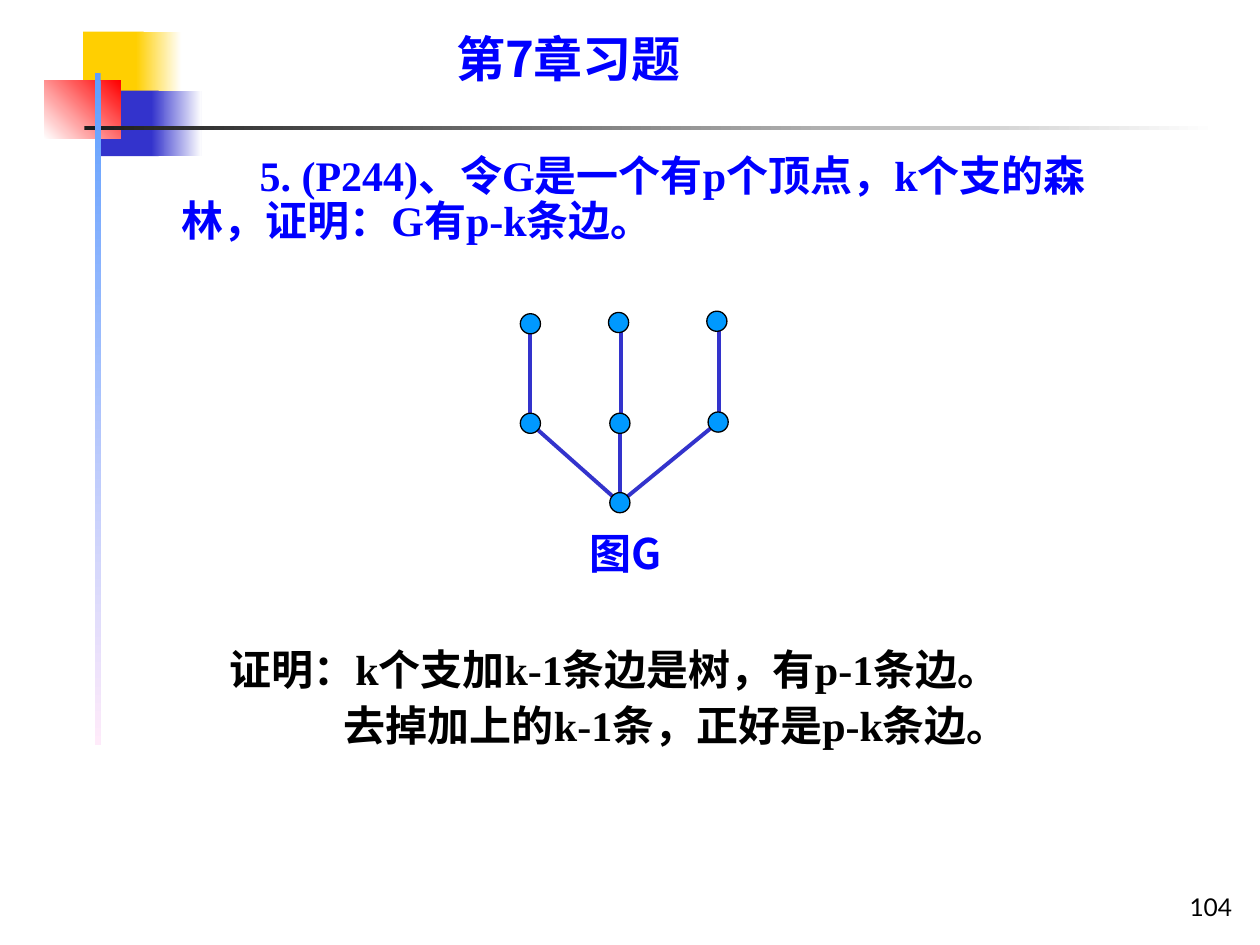
from lxml.etree import SubElement
from pptx import Presentation
from pptx.dml.color import RGBColor
from pptx.enum.shapes import MSO_CONNECTOR, MSO_SHAPE
from pptx.enum.text import MSO_ANCHOR, MSO_AUTO_SIZE, PP_ALIGN
from pptx.oxml.ns import qn
from pptx.util import Inches, Pt

BLUE = RGBColor(0x00, 0x00, 0xFF)
INDIGO = RGBColor(0x33, 0x33, 0xCC)
SKY = RGBColor(0x00, 0x99, 0xFF)
BLACK = RGBColor(0x00, 0x00, 0x00)
WHITE = RGBColor(0xFF, 0xFF, 0xFF)
GOLD = RGBColor(0xFF, 0xCF, 0x01)
RED = RGBColor(0xFF, 0x00, 0x00)
CHARCOAL = RGBColor(0x1C, 0x1C, 0x1C)
LIGHT_BLUE = RGBColor(0x5E, 0x9E, 0xFF)
PINK = RGBColor(0xFF, 0xEB, 0xFA)

COLUMNS, ROWS = 100, 75
SERIF, SANS, NUMERAL = "Times New Roman", "Noto Sans CJK SC", "Lato"


def write(frame, lines, font=SANS, size=24, color=BLUE, bold=True, align=PP_ALIGN.LEFT,
          anchor=MSO_ANCHOR.TOP, wrap=True, hanging=0, indents=(0,), gap=6):
    """Fill a text frame; indents holds each paragraph's first-line offset in inches."""
    frame.margin_left = frame.margin_right = frame.margin_top = frame.margin_bottom = 0
    frame.auto_size = MSO_AUTO_SIZE.NONE
    frame.word_wrap = wrap
    frame.vertical_anchor = anchor
    for index, (line, indent) in enumerate(zip(lines, indents)):
        para = frame.add_paragraph() if index else frame.paragraphs[0]
        properties = para._p.get_or_add_pPr()
        properties.set("marL", str(Inches(hanging)))
        properties.set("indent", str(Inches(indent - hanging)))
        para.alignment = align
        para.line_spacing = 0.9
        para.space_before = Pt(gap if index else 0)
        SubElement(properties, qn("a:buNone"))
        span = para.add_run()
        span.text = line
        span.font.name, span.font.size, span.font.bold = font, Pt(size), bold
        span.font.color.rgb = color
        SubElement(span.font._element, qn("a:ea")).set("typeface", SANS)


class ExercisePage:
    """Holds the grid and the slide that elements are placed on."""

    def __init__(self, deck):
        self.column = deck.slide_width / COLUMNS
        self.row = deck.slide_height / ROWS
        self.page = deck.slides.add_slide(deck.slide_layouts.get_by_name("Two Content"))

    def area(self, left, top, width, height):
        return (round(left * self.column), round(top * self.row),
                round(width * self.column), round(height * self.row))

    def placeholder(self, index, area, lines, **style):
        box = self.page.placeholders[index]
        box.left, box.top, box.width, box.height = self.area(*area)
        write(box.text_frame, lines, **style)

    def label(self, area, text, **style):
        box = self.page.shapes.add_textbox(*self.area(*area))
        write(box.text_frame, [text], **style)

    def block(self, area, start, end=None, angle=0):
        """Add a borderless rectangle, shaded from start to end when end is given."""
        shape = self.page.shapes.add_shape(MSO_SHAPE.RECTANGLE, *self.area(*area))
        shape.shadow.inherit = False
        shape.line.fill.background()
        if end is None:
            shape.fill.solid()
            shape.fill.fore_color.rgb = start
            return
        shape.fill.gradient()
        shape.fill.gradient_angle = angle
        for stop, color in zip(shape.fill.gradient_stops, (start, end)):
            stop.color.rgb = color

    def edge(self, begin, end):
        line = self.page.shapes.add_connector(
            MSO_CONNECTOR.STRAIGHT, *self.area(*begin, *end))
        line.line.color.rgb = INDIGO
        line.line.width = Pt(2.25)
        SubElement(line._element.spPr, qn("a:effectLst"))

    def vertex(self, center, size=1.6):
        x, y = center
        dot = self.page.shapes.add_shape(
            MSO_SHAPE.OVAL, *self.area(x - size / 2, y - size / 2, size, size))
        dot.shadow.inherit = False
        dot.fill.solid()
        dot.fill.fore_color.rgb = SKY
        dot.line.color.rgb = BLACK
        dot.line.width = Pt(0.75)


def draw_decoration(page):
    page.block((6.6, 2.5, 4.8, 5.2), GOLD)
    page.block((10.8, 2.5, 3.6, 5.2), GOLD, WHITE)
    page.block((8, 7.2, 4.6, 5.2), INDIGO)
    page.block((12, 7.2, 4, 5.2), INDIGO, WHITE)
    page.block((3.5, 6.4, 6.1, 4.6), WHITE, RED, angle=45)
    page.block((6.7, 10, 90, 0.3), CHARCOAL, WHITE)
    page.block((7.5, 5.8, 0.5, 53.3), LIGHT_BLUE, PINK, angle=270)


def draw_tree(page):
    root = (49.2, 39.9)
    tips = [(42.1, 25.7), (49.1, 25.6), (56.9, 25.5)]
    joints = [(42.1, 33.6), (49.2, 33.6), (57, 33.5)]
    stems = [42.1, 49.3, 57.1]
    for tip, joint, stem in zip(tips, joints, stems):
        page.edge((stem, tip[1]), (stem, joint[1]))
        page.edge(joint, root)
    for center in tips + joints + [root]:
        page.vertex(center)


def main():
    deck = Presentation()
    deck.slide_width, deck.slide_height = Inches(10), Inches(7.5)
    page = ExercisePage(deck)
    draw_decoration(page)
    page.placeholder(0, (36.2, 2.8, 27.2, 4.2), ["第7章习题"], size=28, wrap=False)
    page.placeholder(1, (10.6, 12.3, 78.7, 7.2),
                     ["5. (P244)、令G是一个有p个顶点，k个支的森林，证明：G有p-k条边。"],
                     font=SERIF, hanging=0.38, indents=[1])
    draw_tree(page)
    page.label((46.8, 42.3, 7.1, 3.6), "图G")
    page.placeholder(2, (9.8, 51.5, 78.8, 15.2),
                     ["证明：k个支加k-1条边是树，有p-1条边。",
                      "去掉加上的k-1条，正好是p-k条边。"],
                     font=SERIF, color=BLACK, hanging=0.38, indents=[0.84, 1.75])
    page.label((79, 69.2, 18.8, 4), "104", font=NUMERAL, size=14, color=BLACK, bold=False,
               align=PP_ALIGN.RIGHT, anchor=MSO_ANCHOR.BOTTOM)
    deck.save("out.pptx")


if __name__ == "__main__":
    main()
